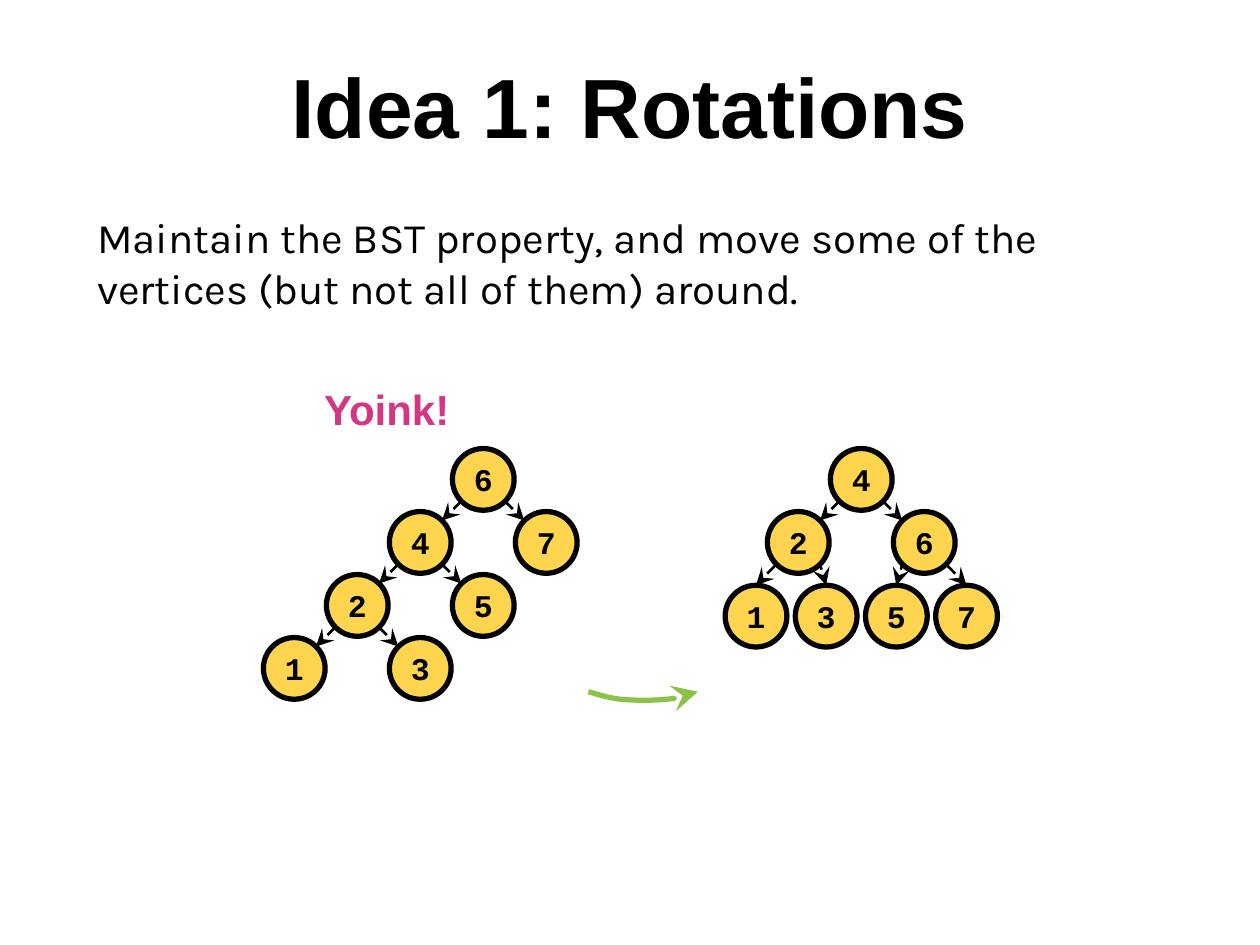
from pptx import Presentation
from pptx import util as u
from pptx.dml.color import RGBColor
from pptx.enum import shapes, text
from pptx.oxml.xmlchemy import OxmlElement

COLORS = {"ink": "000000", "node": "FFD54F", "shout": "D33682", "move": "8BC34A"}
DIAMETER = 0.49
RADIUS = DIAMETER / 2
DIAGONAL = RADIUS * 0.5 ** 0.5
STEP = 0.5
LEAF_Y = 4.89

# Centre of each node by its key, then parent-child pairs
BEFORE_ROOT = (3.835, 3.805)
BEFORE_GRID = {6: (0, 0), 4: (-1, 1), 7: (1, 1), 2: (-2, 2), 5: (0, 2),
               1: (-3, 3), 3: (-1, 3)}
BEFORE = {key: (BEFORE_ROOT[0] + col * STEP, BEFORE_ROOT[1] + row * STEP)
          for key, (col, row) in BEFORE_GRID.items()}
BEFORE_EDGES = [(6, 4), (6, 7), (4, 2), (4, 5), (2, 1), (2, 3)]

AFTER = {4: (6.835, 3.805), 2: (6.335, 4.305), 6: (7.335, 4.305)}
AFTER.update({key: (6 + index * 0.557, LEAF_Y)
              for index, key in enumerate((1, 3, 5, 7))})
AFTER_EDGES = [(4, 2), (4, 6), (2, 1), (2, 3), (6, 5), (6, 7)]

MOVE_CURVE = [(4.67, 5.49), (4.71, 5.5), (4.82, 5.54), (4.93, 5.55),
              (5.03, 5.56), (5.19, 5.56), (5.29, 5.55),
              (5.39, 5.54), (5.5, 5.5), (5.54, 5.49)]


def rgb(name):
    return RGBColor.from_string(COLORS[name])


def write(shape, words, size, font, color="ink", bold=False,
          align=text.PP_ALIGN.CENTER, anchor=text.MSO_ANCHOR.MIDDLE):
    frame = shape.text_frame
    frame.word_wrap = True
    frame.auto_size = text.MSO_AUTO_SIZE.NONE
    frame.vertical_anchor = anchor
    frame.margin_left = frame.margin_right = u.Inches(0.1)
    frame.margin_top = frame.margin_bottom = u.Inches(0.1)
    paragraph = frame.paragraphs[0]
    paragraph.alignment = align
    paragraph.space_before = u.Pt(0)
    run = paragraph.add_run()
    run.text = words
    run.font.size = u.Pt(size)
    run.font.name = font
    run.font.bold = bold
    run.font.color.rgb = rgb(color)


def place(shape, left, top, width, height):
    shape.left, shape.top = u.Inches(left), u.Inches(top)
    shape.width, shape.height = u.Inches(width), u.Inches(height)


def remove_bullet(paragraph):
    properties = paragraph._p.get_or_add_pPr()
    properties.set("marL", "0")
    properties.set("indent", "0")
    properties.append(OxmlElement("a:buNone"))


def style_arrow(shape, color, width):
    shape.line.color.rgb = rgb(color)
    shape.line.width = u.Pt(width)
    head = OxmlElement("a:tailEnd")
    for name, value in (("type", "stealth"), ("w", "lg"), ("len", "lg")):
        head.set(name, value)
    shape.line._get_or_add_ln().append(head)


def add_node(slide, key, center):
    x, y = center
    node = slide.shapes.add_shape(
        shapes.MSO_SHAPE.OVAL, u.Inches(x - RADIUS), u.Inches(y - RADIUS),
        u.Inches(DIAMETER), u.Inches(DIAMETER))
    node.shadow.inherit = False
    node.fill.solid()
    node.fill.fore_color.rgb = rgb("node")
    node.line.color.rgb = rgb("ink")
    node.line.width = u.Pt(3)
    write(node, str(key), 18, "Courier New", bold=True)


def add_edge(slide, parent, child):
    """Leave the parent diagonally; enter a crowded leaf from straight above."""
    side = 1 if child[0] > parent[0] else -1
    start = parent[0] + side * DIAGONAL, parent[1] + DIAGONAL
    if child[1] == LEAF_Y:
        end = child[0], child[1] - RADIUS
    else:
        end = child[0] - side * DIAGONAL, child[1] - DIAGONAL
    edge = slide.shapes.add_connector(
        shapes.MSO_CONNECTOR.STRAIGHT, *(u.Inches(v) for v in start + end))
    edge._element.spPr.append(OxmlElement("a:effectLst"))
    style_arrow(edge, "ink", 1.5)


def add_tree(slide, nodes, edges):
    for key, center in nodes.items():
        add_node(slide, key, center)
    for parent, child in edges:
        add_edge(slide, nodes[parent], nodes[child])


def add_curved_arrow(slide, points):
    """Draw a chain of cubic curves: a start, then three points per curve."""
    points = [(u.Inches(x), u.Inches(y)) for x, y in points]
    builder = slide.shapes.build_freeform(*points[0])
    builder.add_line_segments(points[1:], close=False)
    arrow = builder.convert_to_shape()
    lines = arrow._element.xpath(".//a:lnTo")
    for first in range(0, len(lines), 3):
        curve = OxmlElement("a:cubicBezTo")
        lines[first].addprevious(curve)
        for line in lines[first:first + 3]:
            curve.append(line[0])
            line.getparent().remove(line)
    arrow.shadow.inherit = False
    arrow.fill.background()
    style_arrow(arrow, "move", 3)


def main():
    deck = Presentation()
    deck.slide_width, deck.slide_height = u.Inches(10), u.Inches(7.5)
    slide = deck.slides.add_slide(deck.slide_layouts[1])

    title, body = slide.placeholders
    place(title, 0, 0.33, 10, 1.25)
    write(title, "Idea 1: Rotations", 48, "Arial", bold=True,
          anchor=text.MSO_ANCHOR.TOP)
    place(body, 0.67, 1.58, 8.67, 5.92)
    remove_bullet(body.text_frame.paragraphs[0])
    write(body, "Maintain the BST property, and move some of the vertices "
          "(but not all of them) around.", 24, "Karla",
          align=text.PP_ALIGN.LEFT, anchor=text.MSO_ANCHOR.TOP)

    shout = slide.shapes.add_textbox(0, 0, 0, 0)
    place(shout, 2.42, 2.95, 1.3, 0.58)
    write(shout, "Yoink!", 24, "Arial", color="shout", bold=True)

    add_tree(slide, BEFORE, BEFORE_EDGES)
    add_curved_arrow(slide, MOVE_CURVE)
    add_tree(slide, AFTER, AFTER_EDGES)
    deck.save("out.pptx")


if __name__ == "__main__":
    main()
